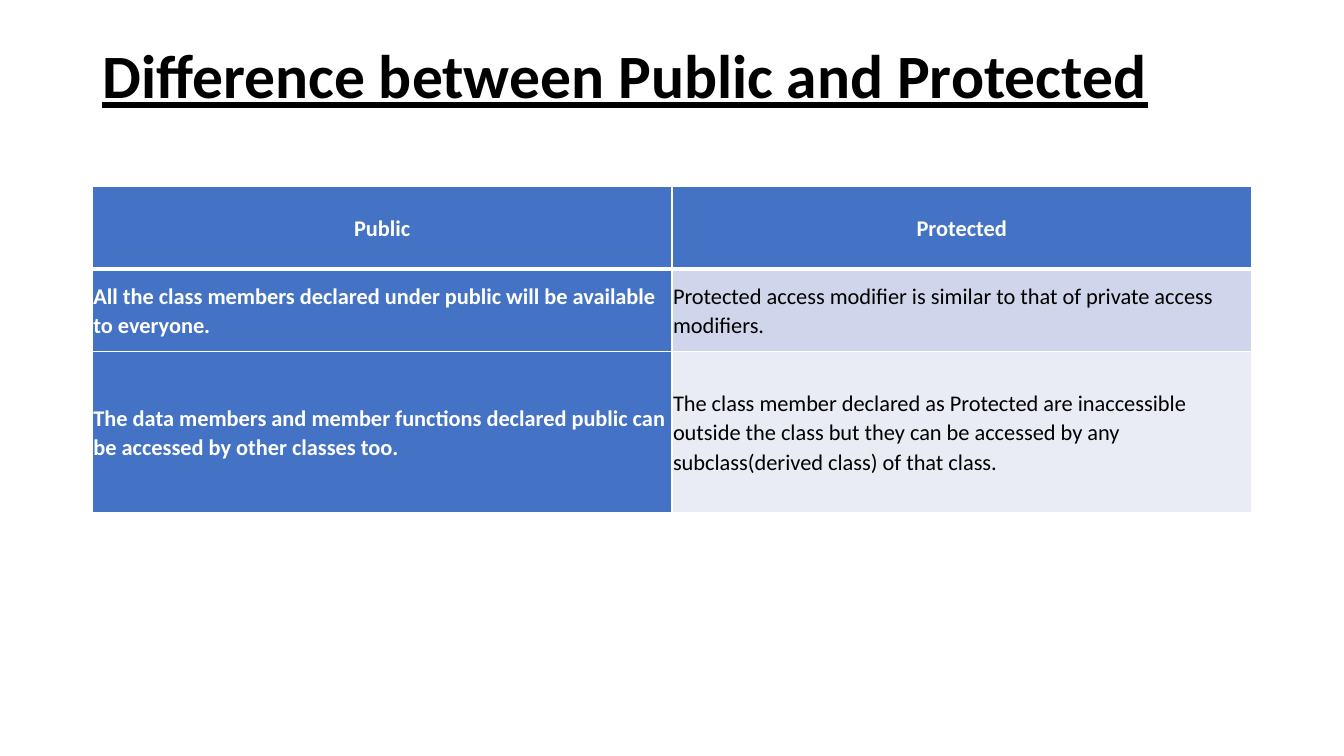
from dataclasses import dataclass

from lxml.etree import SubElement
from pptx import Presentation
from pptx.dml.color import RGBColor as Color
from pptx.enum.text import MSO_ANCHOR as Anchor, PP_ALIGN as Align
from pptx.oxml.ns import qn
from pptx.slide import Slide
from pptx.table import _Cell as Cell
from pptx.text.text import _Paragraph as Paragraph
from pptx.util import Pt


@dataclass(frozen=True)
class Theme:
    font: str = "Calibri"
    title_size: float = 44
    cell_size: float = 16
    dark: str = "000000"
    light: str = "FFFFFF"
    accent: str = "4472C4"
    bands: tuple[str, str] = ("CFD5EA", "E9EBF5")
    border: float = 1
    header_border: float = 3
    cell_margin: float = 0.75


@dataclass(frozen=True)
class ComparisonRow:
    public: str
    protected: str
    height: float


THEME = Theme()
LEFT, WIDTH = 66, 828
TITLE_TOP, TITLE_HEIGHT = 28.8, 104.4
TABLE_TOP = 133.2

ROWS = [
    ComparisonRow("Public", "Protected", 59),
    ComparisonRow(
        "All the class members declared under public will be available to everyone.",
        "Protected access modifier is similar to that of private access modifiers.",
        59,
    ),
    ComparisonRow(
        "The data members and member functions declared public can be accessed by other classes too.",
        "The class member declared as Protected are inaccessible outside the class "
        "but they can be accessed by any subclass(derived class) of that class.",
        115.2,
    ),
]


def style_paragraph(paragraph: Paragraph, size: float, color: str, bold: bool, spacing: float) -> None:
    paragraph.line_spacing = spacing
    font = paragraph.font
    font.name, font.size, font.bold = THEME.font, Pt(size), bold
    font.color.rgb = Color.from_string(color)


def add_title(slide: Slide, text: str) -> None:
    shape = slide.shapes.add_textbox(Pt(LEFT), Pt(TITLE_TOP), Pt(WIDTH), Pt(TITLE_HEIGHT))
    frame = shape.text_frame
    frame.word_wrap = True
    frame.vertical_anchor = Anchor.TOP
    paragraph = frame.paragraphs[0]
    paragraph.text = text
    style_paragraph(paragraph, THEME.title_size, THEME.dark, True, 0.9)
    paragraph.font.underline = True


def set_borders(cell: Cell, top: float, bottom: float) -> None:
    properties = cell._tc.get_or_add_tcPr()
    widths = {"a:lnL": THEME.border, "a:lnR": THEME.border, "a:lnT": top, "a:lnB": bottom}
    for tag, width in widths.items():
        line = SubElement(properties, qn(tag), w=str(Pt(width)))
        SubElement(SubElement(line, qn("a:solidFill")), qn("a:srgbClr"), val=THEME.light)


def fill_cell(cell: Cell, text: str, row: int, column: int) -> None:
    is_heading = row == 0 or column == 0
    # Borders come before the fill in the cell properties
    set_borders(
        cell,
        top=THEME.header_border if row == 1 else THEME.border,
        bottom=THEME.header_border if row == 0 else THEME.border,
    )
    cell.fill.solid()
    fill = THEME.accent if is_heading else THEME.bands[row - 1]
    cell.fill.fore_color.rgb = Color.from_string(fill)
    cell.vertical_anchor = Anchor.MIDDLE
    cell.margin_left = cell.margin_right = Pt(THEME.cell_margin)
    cell.margin_top = cell.margin_bottom = Pt(THEME.cell_margin)
    paragraph = cell.text_frame.paragraphs[0]
    paragraph.text = text
    paragraph.alignment = Align.CENTER if row == 0 else Align.LEFT
    color = THEME.light if is_heading else THEME.dark
    style_paragraph(paragraph, THEME.cell_size, color, is_heading, 1.07)


def add_comparison(slide: Slide, rows: list[ComparisonRow]) -> None:
    height = sum(row.height for row in rows)
    table = slide.shapes.add_table(
        len(rows), 2, Pt(LEFT), Pt(TABLE_TOP), Pt(WIDTH), Pt(height)
    ).table
    table.first_col = True
    for index, row in enumerate(rows):
        table.rows[index].height = Pt(row.height)
        for column, text in enumerate((row.public, row.protected)):
            fill_cell(table.cell(index, column), text, index, column)


def main() -> None:
    presentation = Presentation()
    presentation.slide_width, presentation.slide_height = Pt(960), Pt(540)
    slide = presentation.slides.add_slide(presentation.slide_layouts[6])
    # Heading
    add_title(slide, "Difference between Public and Protected")
    # Comparison table
    add_comparison(slide, ROWS)
    presentation.save("out.pptx")


if __name__ == "__main__":
    main()
